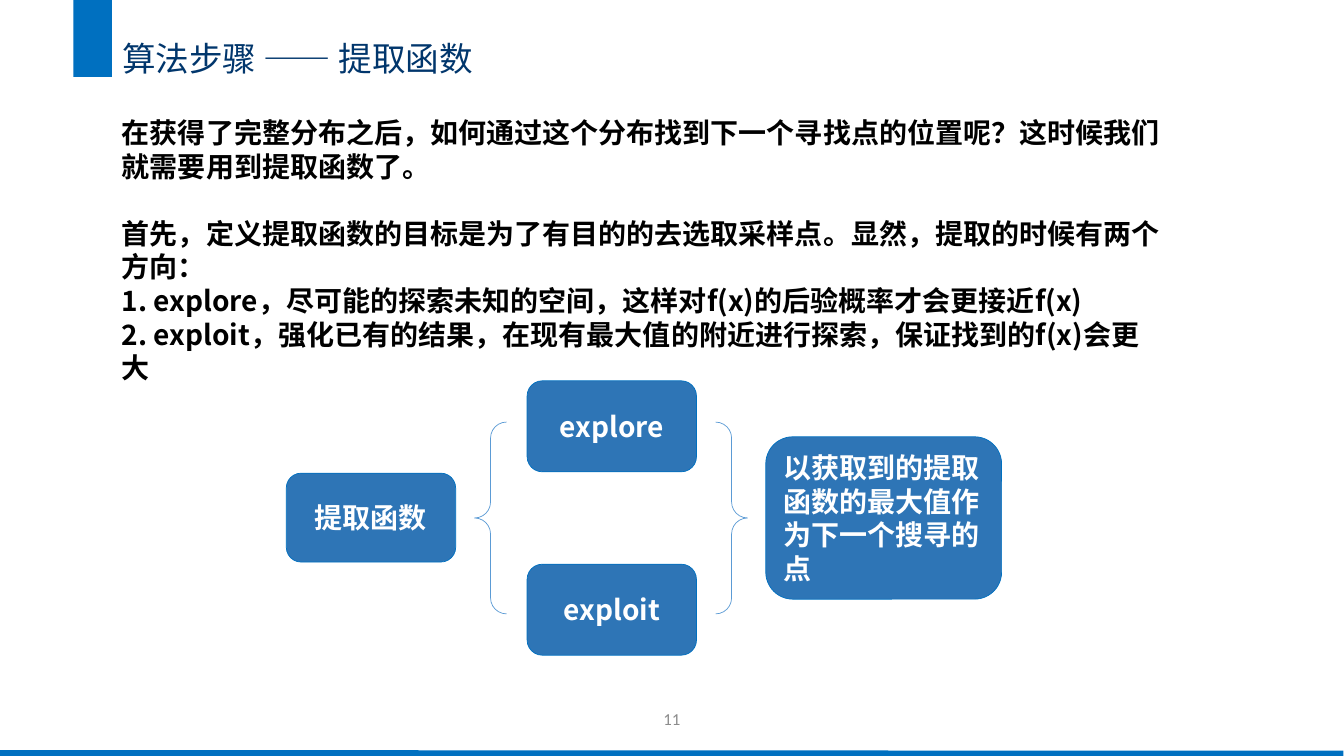
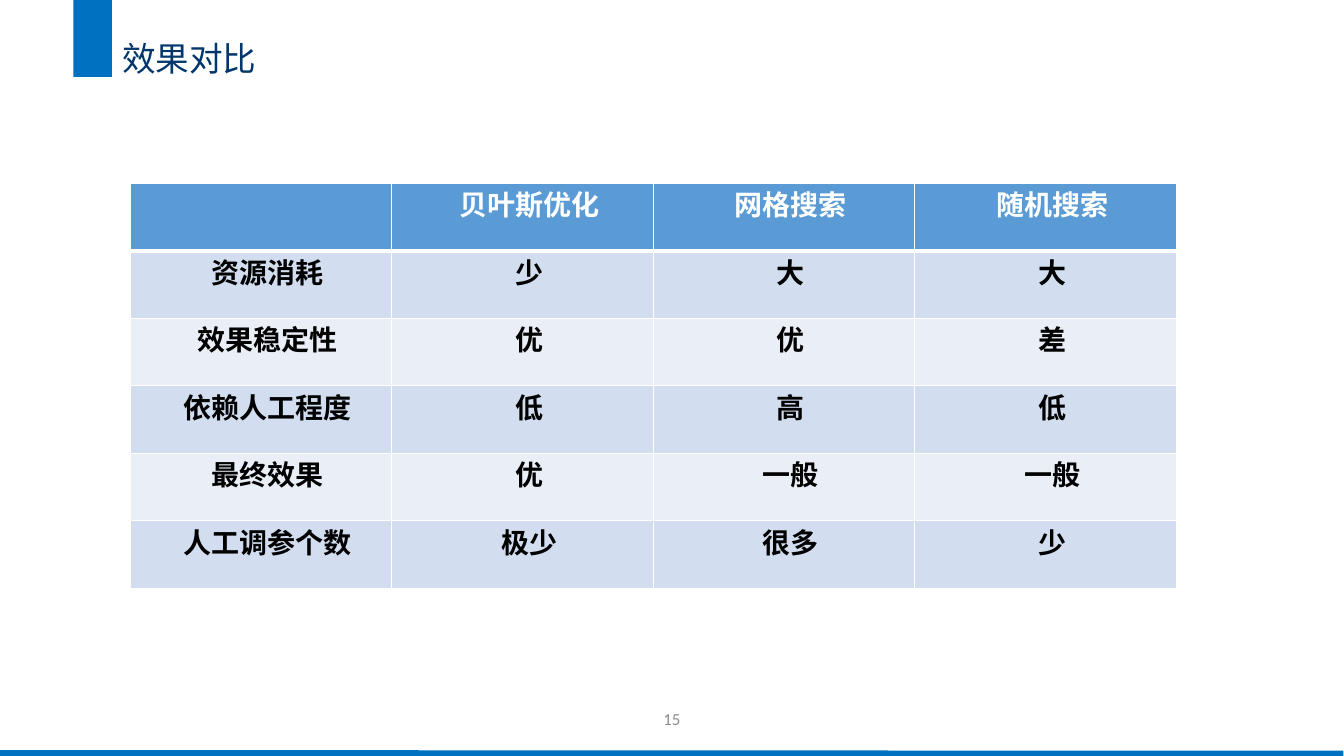
from dataclasses import dataclass
from typing import Optional

from lxml.etree import SubElement
from pptx import Presentation
from pptx.dml.color import RGBColor
from pptx.enum.shapes import MSO_CONNECTOR as Connector, MSO_SHAPE as Preset
from pptx.enum.text import MSO_ANCHOR as Anchor, MSO_AUTO_SIZE as AutoSize, PP_ALIGN as Align
from pptx.oxml.ns import qn
from pptx.util import Pt

COLORS = {
    "band": "0070C0", "title": "01366C", "number": "8C8C8C",
    "box": "2E75B6", "brace": "5B9BD5", "header": "5B9BD5",
    "odd_row": "D2DEEF", "even_row": "EAEFF7",
    "white": "FFFFFF", "black": "000000",
}
CJK_FONT = "Noto Sans CJK SC"
TITLE_ONLY = 5


@dataclass(frozen=True)
class TextStyle:
    size: float
    color: str
    font: str = CJK_FONT
    bold: bool = False
    align: Align = Align.LEFT
    line_height: Optional[float] = None


@dataclass(frozen=True)
class Node:
    text: str
    left: float
    top: float
    width: float = 121
    height: float = 65
    align: Align = Align.CENTER


TITLE = TextStyle(24, "title", line_height=31)
BODY = TextStyle(20, "black", bold=True, line_height=24)
NUMBER = TextStyle(12, "number", font="Calibri", align=Align.CENTER)
HEADER_CELL = TextStyle(20, "white", bold=True, align=Align.CENTER)
BODY_CELL = TextStyle(20, "black", bold=True, align=Align.CENTER)

INTRODUCTION = [
    "在获得了完整分布之后，如何通过这个分布找到下一个寻找点的位置呢？这时候我们就需要用到提取函数了。",
    "首先，定义提取函数的目标是为了有目的的去选取采样点。显然，提取的时候有两个方向：",
    "1. explore，尽可能的探索未知的空间，这样对f(x)的后验概率才会更接近f(x)",
    "2. exploit，强化已有的结果，在现有最大值的附近进行探索，保证找到的f(x)会更大",
]
NODES = [
    Node("提取函数", 204.5, 338, height=63.5),
    Node("explore", 376.5, 272),
    Node("exploit", 376.5, 403),
    Node("以获取到的提取函数的最大值作为下一个搜寻的点", 547, 312, 168.5, 116, Align.LEFT),
]
COMPARISON = [
    ["", "贝叶斯优化", "网格搜索", "随机搜索"],
    ["资源消耗", "少", "大", "大"],
    ["效果稳定性", "优", "优", "差"],
    ["依赖人工程度", "低", "高", "低"],
    ["最终效果", "优", "一般", "一般"],
    ["人工调参个数", "极少", "很多", "少"],
]


def rgb(name: str) -> RGBColor:
    return RGBColor.from_string(COLORS[name])


def format_text(text_frame, style: TextStyle) -> None:
    for paragraph in text_frame.paragraphs:
        paragraph.alignment = style.align
        if style.line_height:
            paragraph.line_spacing = Pt(style.line_height)
        for run in paragraph.runs:
            font = run.font
            font.name, font.size, font.bold = style.font, Pt(style.size), style.bold
            font.color.rgb = rgb(style.color)
            SubElement(font._element, qn("a:ea"), typeface=style.font)


def add_preset(slide, preset, left: float, top: float, width: float, height: float,
               fill: Optional[str] = None, line: Optional[str] = None):
    shape = slide.shapes.add_shape(preset, Pt(left), Pt(top), Pt(width), Pt(height))
    shape.shadow.inherit = False
    if fill:
        shape.fill.solid()
        shape.fill.fore_color.rgb = rgb(fill)
    else:
        shape.fill.background()
    if line:
        shape.line.color.rgb = rgb(line)
        shape.line.width = Pt(0.5)
    else:
        shape.line.fill.background()
    return shape


def add_text(slide, text: str, left: float, top: float, width: float, height: float,
             style: TextStyle, anchor=Anchor.TOP):
    text_frame = slide.shapes.add_textbox(Pt(left), Pt(top), Pt(width), Pt(height)).text_frame
    text_frame.word_wrap = True
    text_frame.vertical_anchor = anchor
    text_frame.text = text
    format_text(text_frame, style)
    return text_frame


def add_base_slide(presentation, title: str, number: int):
    """Add a slide with the shared band, tab, page number and title."""
    slide = presentation.slides.add_slide(presentation.slide_layouts[TITLE_ONLY])
    band = slide.shapes.add_connector(Connector.STRAIGHT, Pt(-0.5), Pt(538), Pt(959.5), Pt(538.5))
    band.line.color.rgb = rgb("band")
    band.line.width = Pt(4.5)
    SubElement(band._element.spPr, qn("a:effectLst"))
    add_preset(slide, Preset.RECTANGLE, 52.5, 0, 27.5, 55, fill="band")
    add_text(slide, str(number), 372, 499, 216, 29, NUMBER, Anchor.MIDDLE)

    heading = slide.shapes.title
    heading.left, heading.top, heading.width, heading.height = Pt(80), Pt(21.5), Pt(631), Pt(36)
    text_frame = heading.text_frame
    text_frame.text = title
    text_frame.auto_size = AutoSize.NONE
    text_frame.vertical_anchor = Anchor.TOP
    format_text(text_frame, TITLE)
    return slide


def add_node(slide, node: Node) -> None:
    shape = add_preset(slide, Preset.ROUNDED_RECTANGLE, node.left, node.top,
                       node.width, node.height, fill="box", line="band")
    text_frame = shape.text_frame
    text_frame.word_wrap = True
    text_frame.vertical_anchor = Anchor.MIDDLE
    text_frame.text = node.text
    format_text(text_frame, TextStyle(20, "white", bold=True, align=node.align, line_height=24))


def set_borders(cell, top: float, bottom: float) -> None:
    properties = cell._tc.get_or_add_tcPr()
    for side, width in (("L", 1), ("R", 1), ("T", top), ("B", bottom)):
        line = SubElement(properties, qn(f"a:ln{side}"), w=str(Pt(width)))
        fill = SubElement(line, qn("a:solidFill"))
        SubElement(fill, qn("a:srgbClr"), val=COLORS["white"])


def add_comparison_table(slide, rows: list[list[str]], left: float, top: float,
                         column_width: float, row_height: float) -> None:
    row_count, column_count = len(rows), len(rows[0])
    table = slide.shapes.add_table(
        row_count, column_count, Pt(left), Pt(top),
        Pt(column_width * column_count), Pt(row_height * row_count)).table
    for column in table.columns:
        column.width = Pt(column_width)
    for row_index, texts in enumerate(rows):
        table.rows[row_index].height = Pt(row_height)
        is_header = row_index == 0
        fill = "header" if is_header else "odd_row" if row_index % 2 else "even_row"
        for column_index, text in enumerate(texts):
            cell = table.cell(row_index, column_index)
            set_borders(cell, top=3 if row_index == 1 else 1, bottom=3 if is_header else 1)
            cell.fill.solid()
            cell.fill.fore_color.rgb = rgb(fill)
            cell.margin_left = cell.margin_right = Pt(5)
            cell.margin_top = cell.margin_bottom = Pt(0)
            cell.text_frame.text = text
            format_text(cell.text_frame, HEADER_CELL if is_header else BODY_CELL)
            paragraph_properties = cell.text_frame.paragraphs[0]._p.get_or_add_pPr()
            paragraph_properties.set("indent", str(Pt(10)))


def build_extraction_slide(presentation) -> None:
    slide = add_base_slide(presentation, "算法步骤 —— 提取函数", 11)
    body = add_text(slide, "\n".join(INTRODUCTION), 80, 79, 760, 225, BODY)
    body.paragraphs[1].space_before = Pt(24)
    # Diagram: braces link the function, its two directions and the outcome
    add_preset(slide, Preset.DOUBLE_BRACE, 339, 301.5, 195, 137, line="brace")
    for node in NODES:
        add_node(slide, node)


def build_comparison_slide(presentation) -> None:
    slide = add_base_slide(presentation, "效果对比", 15)
    add_comparison_table(slide, COMPARISON, 93, 131, column_width=186.8, row_height=48.2)


def main() -> None:
    presentation = Presentation()
    presentation.slide_width, presentation.slide_height = Pt(960), Pt(540)
    build_extraction_slide(presentation)
    build_comparison_slide(presentation)
    presentation.save("out.pptx")


if __name__ == "__main__":
    main()
